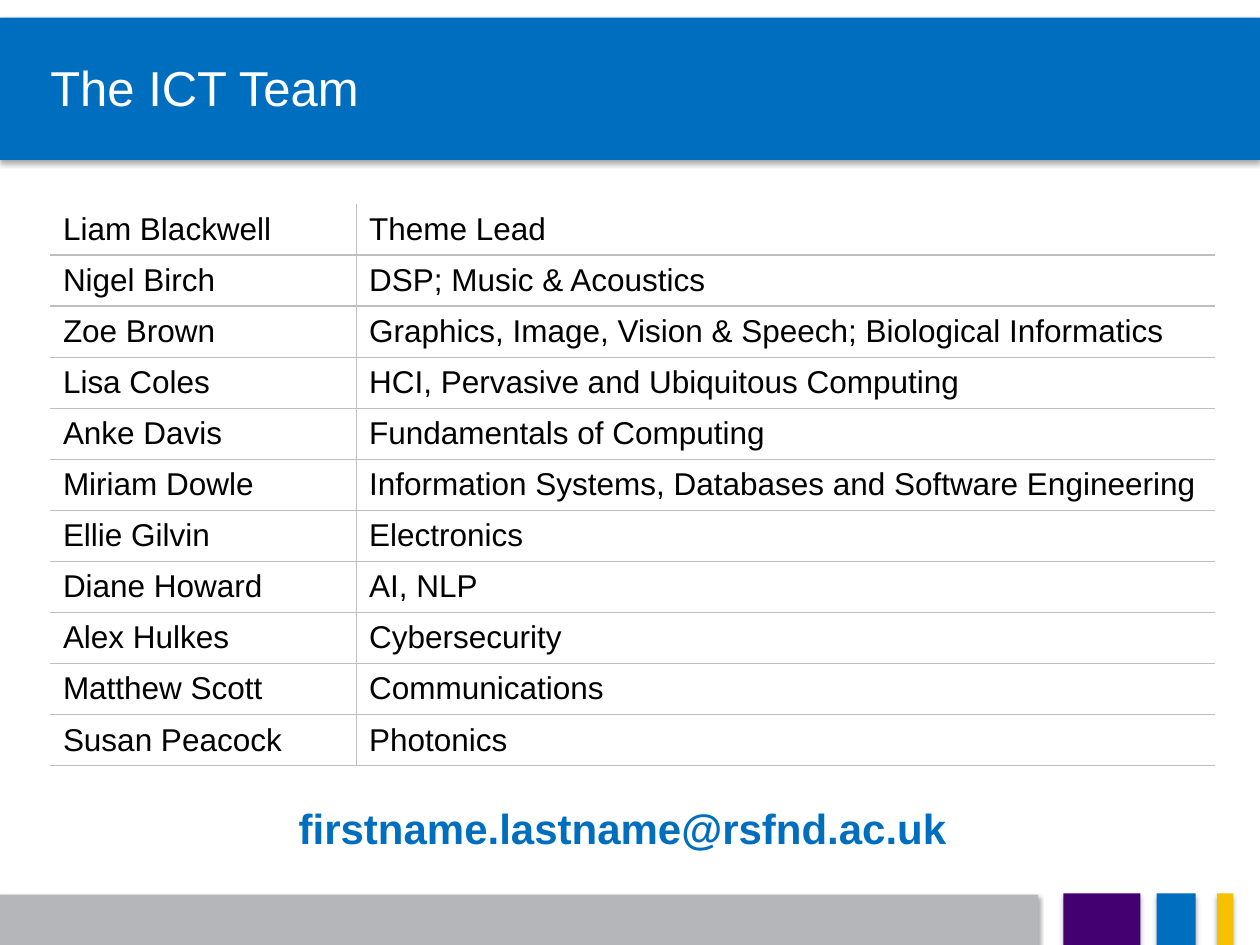
import pptx
import pptx.util
import pptx.dml.color
import pptx.enum.shapes
import pptx.enum.text
import pptx.oxml
import pptx.oxml.ns
import lxml.etree

Inches = pptx.util.Inches
Pt = pptx.util.Pt
RGBColor = pptx.dml.color.RGBColor
ANCHOR = pptx.enum.text.MSO_ANCHOR
ALIGN = pptx.enum.text.PP_ALIGN
qn = pptx.oxml.ns.qn

BLUE = RGBColor(0x00, 0x6E, 0xBE)
PURPLE = RGBColor(0x43, 0x00, 0x71)
YELLOW = RGBColor(0xF7, 0xC1, 0x00)
GREY = RGBColor(0xB4, 0xB6, 0xB9)
RULE_GREY = RGBColor(0xBF, 0xBF, 0xBF)
BLACK = RGBColor(0, 0, 0)
WHITE = RGBColor(0xFF, 0xFF, 0xFF)
FONT = "Arial"

# Content
TITLE = "The ICT Team"
EMAIL = "firstname.lastname@rsfnd.ac.uk"
TEAM = [
    ("Liam Blackwell", "Theme Lead"),
    ("Nigel Birch", "DSP; Music & Acoustics"),
    ("Zoe Brown", "Graphics, Image, Vision & Speech; Biological Informatics"),
    ("Lisa Coles", "HCI, Pervasive and Ubiquitous Computing"),
    ("Anke Davis", "Fundamentals of Computing"),
    ("Miriam Dowle", "Information Systems, Databases and Software Engineering"),
    ("Ellie Gilvin", "Electronics"),
    ("Diane Howard", "AI, NLP"),
    ("Alex Hulkes", "Cybersecurity"),
    ("Matthew Scott", "Communications"),
    ("Susan Peacock", "Photonics"),
]
COLUMN_WIDTHS = (2.43, 6.81)
TABLE_LEFT, TABLE_TOP, TABLE_HEIGHT = 0.4, 1.62, 4.46

# Left, top, width, height, colour
BANDS = [
    (-0.01, 7.1, 8.25, 0.41, GREY),
    (8.44, 7.09, 0.61, 0.41, PURPLE),
    (9.18, 7.09, 0.31, 0.41, BLUE),
    (9.66, 7.09, 0.13, 0.41, YELLOW),
    (0, 0.14, 10, 1.13, BLUE),
]


def write(frame, text, size=18, color=BLACK, bold=False, align=ALIGN.LEFT):
    paragraph = frame.paragraphs[0]
    paragraph.alignment = align
    run = paragraph.add_run()
    run.text = text
    run.font.name = FONT
    run.font.size = Pt(size)
    run.font.bold = bold
    run.font.color.rgb = color


def add_text(slide, box, text, wrap=True, anchor=ANCHOR.TOP, **style):
    frame = slide.shapes.add_textbox(*map(Inches, box)).text_frame
    frame.word_wrap = wrap
    frame.vertical_anchor = anchor
    frame.margin_left = frame.margin_right = 0
    frame.margin_top = frame.margin_bottom = 0
    write(frame, text, **style)


def add_band(slide, left, top, width, height, color):
    band = slide.shapes.add_shape(
        pptx.enum.shapes.MSO_SHAPE.RECTANGLE,
        *map(Inches, (left, top, width, height)))
    band.fill.solid()
    band.fill.fore_color.rgb = color
    band.line.fill.background()
    band.shadow.inherit = False
    # Soft shadow straight below
    effects = band._element.spPr.find(qn("a:effectLst"))
    shadow = lxml.etree.SubElement(
        effects, qn("a:outerShdw"), blurRad=str(Pt(3.1)), dist=str(Pt(1.8)),
        dir="5400000", algn="t", rotWithShape="0")
    tint = lxml.etree.SubElement(shadow, qn("a:srgbClr"), val="000000")
    lxml.etree.SubElement(tint, qn("a:alpha"), val="35000")


def set_borders(cell, ruled):
    properties = cell._tc.get_or_add_tcPr()
    for place, side in enumerate("LRTB"):
        line = pptx.oxml.parse_xml(
            f'<a:ln{side} {pptx.oxml.ns.nsdecls("a")} w="{Pt(1)}"/>')
        if side in ruled:
            fill = lxml.etree.SubElement(line, qn("a:solidFill"))
            lxml.etree.SubElement(fill, qn("a:srgbClr"), val=str(RULE_GREY))
        else:
            lxml.etree.SubElement(line, qn("a:noFill"))
        properties.insert(place, line)


def add_team_table(slide):
    table = slide.shapes.add_table(
        len(TEAM), len(COLUMN_WIDTHS), Inches(TABLE_LEFT), Inches(TABLE_TOP),
        Inches(sum(COLUMN_WIDTHS)), Inches(TABLE_HEIGHT)).table
    table.first_row = table.horz_banding = False
    for column, width in zip(table.columns, COLUMN_WIDTHS):
        column.width = Inches(width)
    for r, member in enumerate(TEAM):
        for c, text in enumerate(member):
            cell = table.cell(r, c)
            cell.vertical_anchor = ANCHOR.MIDDLE
            cell.fill.background()
            set_borders(cell, "RL"[c] + "B" + ("T" if r else ""))
            write(cell.text_frame, text)


def main():
    deck = pptx.Presentation()
    deck.slide_width, deck.slide_height = Inches(10), Inches(7.5)
    slide = deck.slides.add_slide(deck.slide_layouts[6])

    # Header and footer bands
    for band in BANDS:
        add_band(slide, *band)

    add_text(slide, (0.4, 0.14, 7.22, 1.1), TITLE, anchor=ANCHOR.MIDDLE,
             size=28, color=WHITE)
    add_team_table(slide)
    add_text(slide, (2.37, 6.37, 5.25, 0.4), EMAIL, wrap=False,
             size=24, color=BLUE, bold=True)

    deck.save("out.pptx")


if __name__ == "__main__":
    main()
